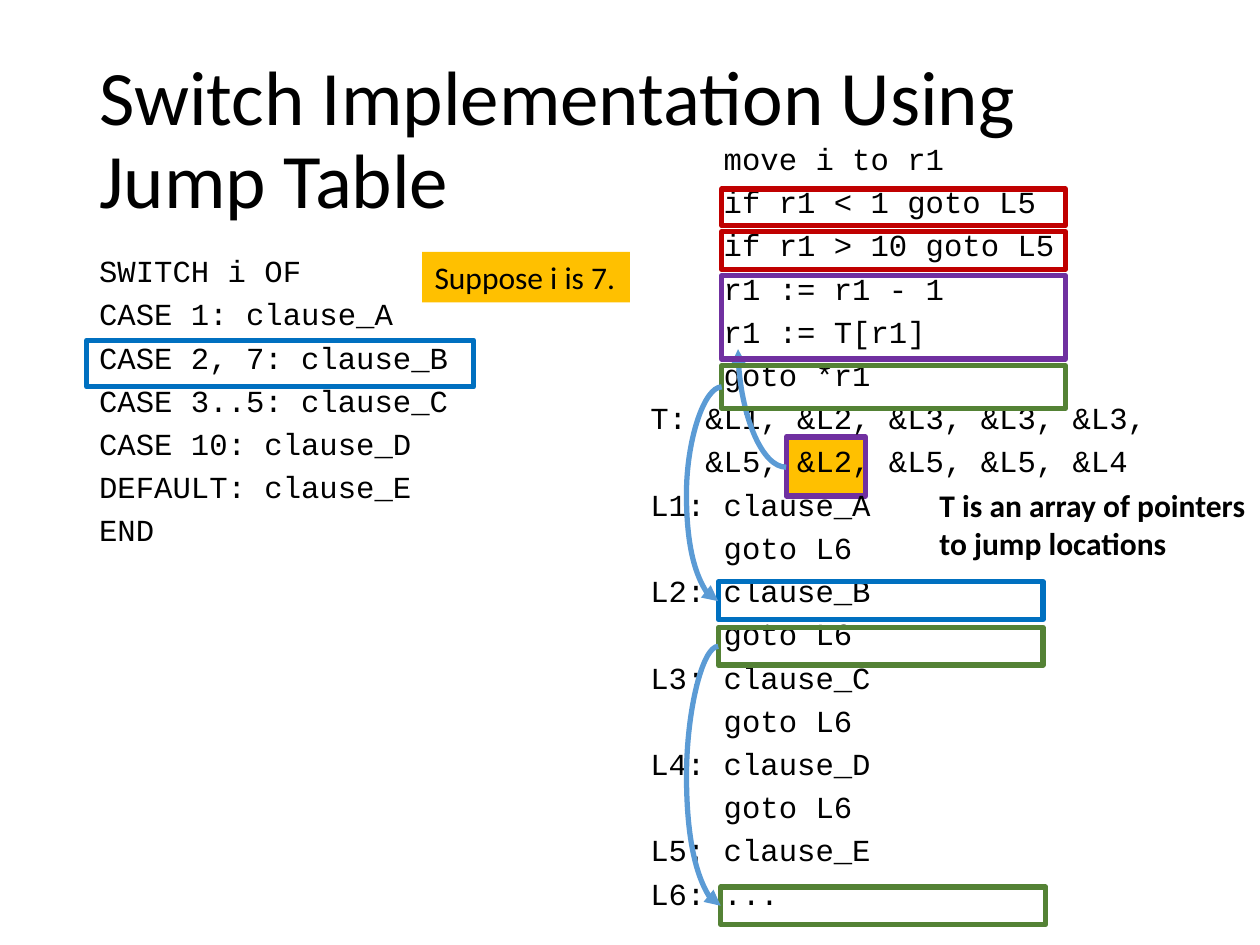
from pptx import Presentation
from pptx.util import Cm, Pt
from pptx.dml.color import RGBColor as RGB
from pptx.enum.shapes import MSO_SHAPE as Shape, MSO_CONNECTOR as Link
from pptx.enum.text import MSO_ANCHOR as Anchor, MSO_AUTO_SIZE as Fit, PP_ALIGN as Align
from pptx.oxml.ns import qn
from lxml.etree import SubElement as Sub

HUES = dict(black="000000", gold="FFC000", purple="7030A0", red="C00000",
            green="548235", blue="0070C0", sky="5B9BD5")
TITLE = "Switch Implementation Using Jump Table"
SOURCE = ["SWITCH i OF", "CASE 1: clause_A", "CASE 2, 7: clause_B",
          "CASE 3..5: clause_C", "CASE 10: clause_D", "DEFAULT: clause_E", "END"]
TARGET = ["    move i to r1", "    if r1 < 1 goto L5", "    if r1 > 10 goto L5",
          "    r1 := r1 - 1", "    r1 := T[r1]", "    goto *r1",
          "T: &L1, &L2, &L3, &L3, &L3,", "   &L5, &L2, &L5, &L5, &L4",
          "L1: clause_A", "    goto L6", "L2: clause_B", "    goto L6",
          "L3: clause_C", "    goto L6", "L4: clause_D", "    goto L6",
          "L5: clause_E", "L6: ..."]
CODES = [((1.75, 5.16, 10.8, 12.09), SOURCE), ((12.86, 2.9, 10.8, 15.85), TARGET)]
FRAMES = [
    ((14.55, 3.81, 6.93, 0.74), "red"),
    ((14.55, 4.67, 6.93, 0.76), "red"),
    ((14.55, 5.56, 6.93, 1.68), "purple"),
    ((14.55, 7.37, 6.93, 0.86), "green"),
    ((14.48, 11.73, 6.55, 0.76), "blue"),
    ((14.48, 12.65, 6.55, 0.76), "green"),
    ((14.53, 17.88, 6.55, 0.76), "green"),
    ((1.75, 6.86, 7.8, 0.94), "blue"),
]
BEND = 13.84
JUMPS = [((14.48, 13.03), (14.53, 18.26), BEND), ((14.55, 7.8), (14.48, 12.12), BEND)]
LOOKUP = ((15.85, 9.42), (14.88, 7.04), None)


def hue(name):
    return RGB.from_string(HUES[name])


def cms(nums):
    return [Cm(n) for n in nums]


def style(par, face, size, bold=False):
    font = par.font
    font.name, font.size, font.bold = face, Pt(size), bold
    font.color.rgb = hue("black")
    par.alignment = Align.LEFT


def box(area, edge=None, fill=None):
    rect = slide.shapes.add_shape(Shape.RECTANGLE, *cms(area))
    rect.shadow.inherit = False
    if fill:
        rect.fill.solid()
        rect.fill.fore_color.rgb = hue(fill)
    else:
        rect.fill.background()
    if edge:
        rect.line.color.rgb = hue(edge)
        rect.line.width = Pt(3)
    else:
        rect.line.fill.background()
    return rect


def code(area, lines):
    frame = slide.shapes.add_textbox(*cms(area)).text_frame
    frame.word_wrap = True
    frame.text = "\n".join(lines)
    for par in frame.paragraphs:
        style(par, "Courier New", 17.5)
        par.line_spacing = 0.7
        par.space_before = Pt(10)


def curve(start, end, bend):
    arc = slide.shapes.add_connector(Link.CURVE, *cms(start + end))
    arc.line.color.rgb = hue("sky")
    arc.line.width = Pt(3)
    Sub(arc.line._get_or_add_ln(), qn("a:tailEnd"), type="triangle")
    prop = arc._element.spPr
    Sub(prop, qn("a:effectLst"))
    geom = prop.find(qn("a:prstGeom"))
    if bend is None:
        geom.set("prst", "curvedConnector2")
    else:
        part = (bend - start[0]) / (end[0] - start[0])
        Sub(geom.find(qn("a:avLst")), qn("a:gd"), name="adj1",
            fmla=f"val {round(part * 100000)}")


deck = Presentation()
deck.slide_width, deck.slide_height = cms((25.4, 19.05))
slide = deck.slides.add_slide(deck.slide_layouts[5])

head = slide.shapes.title
head.left, head.top, head.width, head.height = cms((1.75, 1.02, 21.9, 3.68))
head.text_frame.text = TITLE
head.text_frame.auto_size = Fit.NONE
head.text_frame.vertical_anchor = Anchor.MIDDLE
style(head.text_frame.paragraphs[0], "Calibri", 44)
head.text_frame.paragraphs[0].line_spacing = 0.9

box((15.85, 8.81, 1.6, 1.19), "purple", "gold")
for area, lines in CODES:
    code(area, lines)
curve(*LOOKUP)
for area, edge in FRAMES:
    box(area, edge)
for jump in JUMPS:
    curve(*jump)

hint = box((8.51, 5.08, 4.19, 1.02), fill="gold").text_frame
hint.word_wrap = False
hint.text = "Suppose i is 7."
style(hint.paragraphs[0], "Calibri", 18)

note = slide.shapes.add_textbox(*cms((18.69, 9.68, 7.14, 1.8))).text_frame
note.word_wrap = True
note.text = "T is an array of pointers to jump locations"
style(note.paragraphs[0], "Calibri", 18, True)

deck.save("out.pptx")
